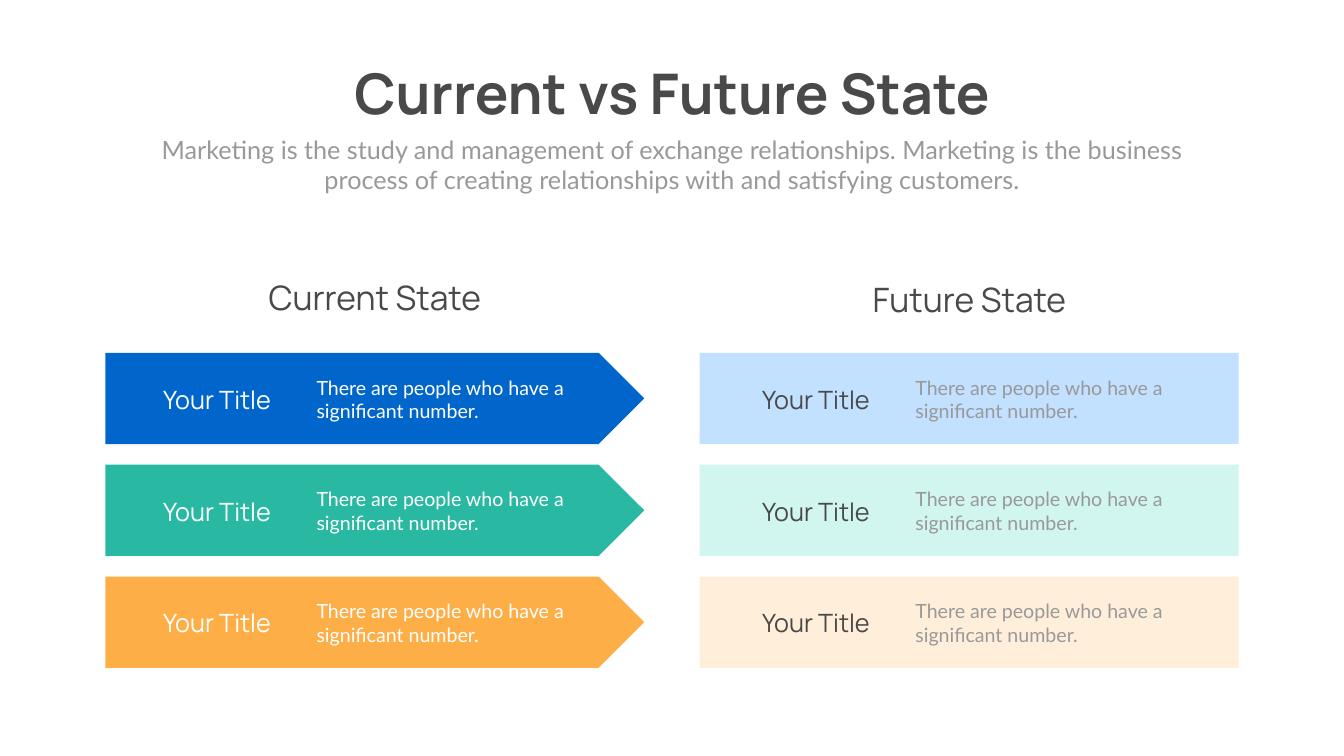
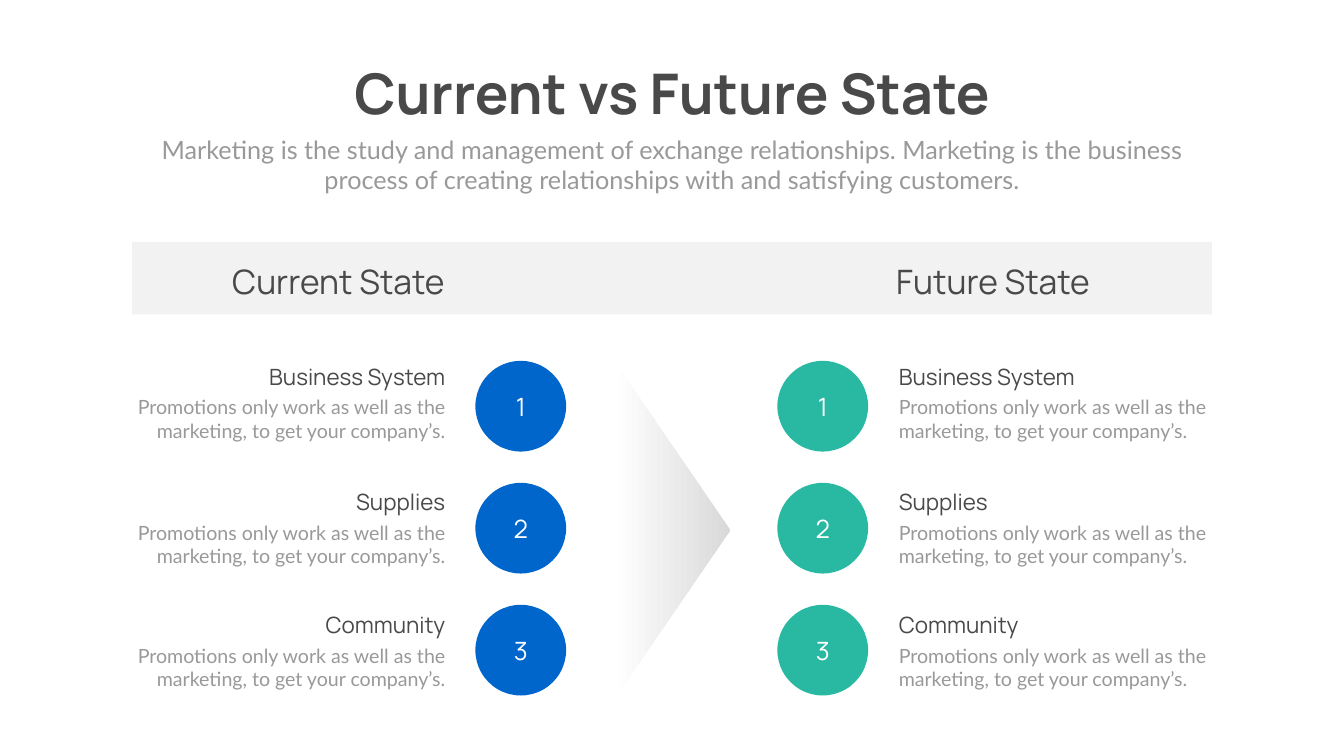
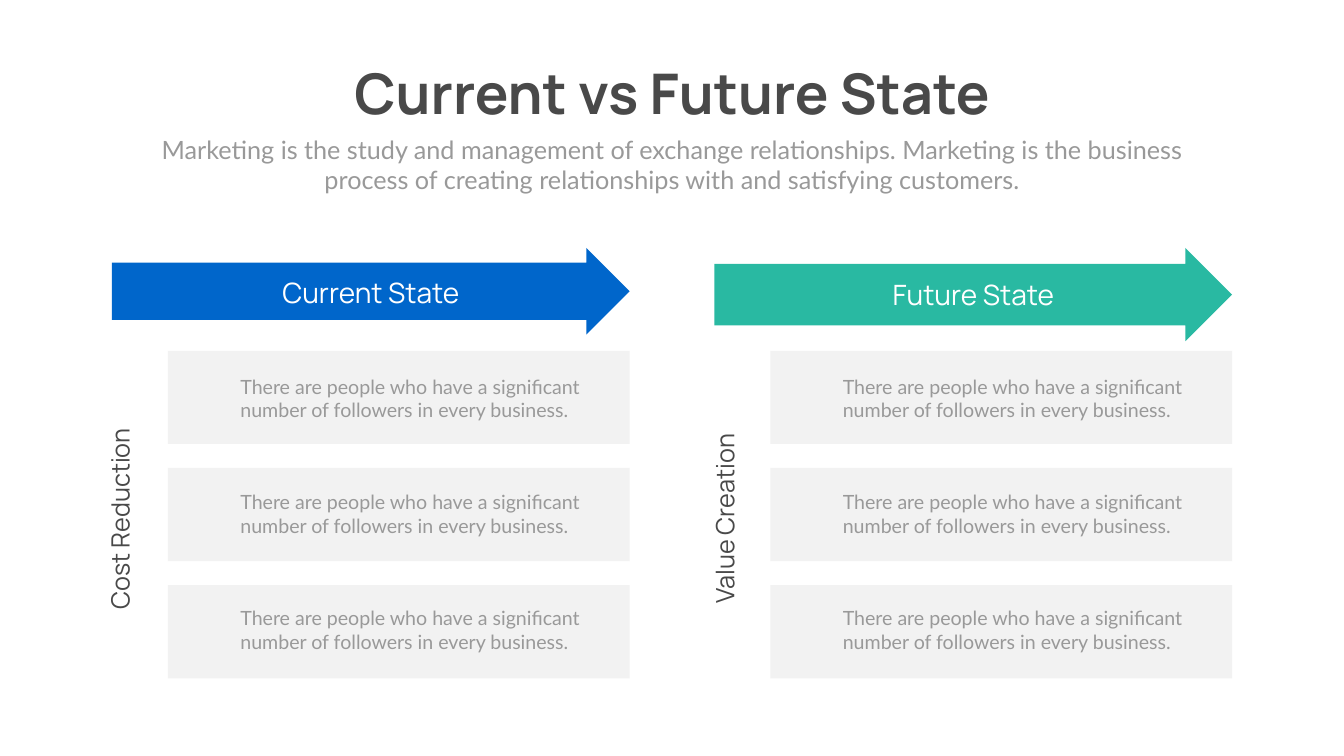
"""Build three slides that compare a current state with a future state."""
from pptx import Presentation
from pptx.dml.color import RGBColor
from pptx.enum import shapes, text
from pptx.util import Inches, Pt

BLUE, GREEN, ORANGE = "0066CB", "29B9A2", "FEAE46"
DARK, GREY, PALE, WHITE = "494949", "999999", "F2F2F2", "FFFFFF"
HEAD, BODY = "Manrope", "Lato"
LEFT, CENTER, RIGHT = text.PP_ALIGN.LEFT, text.PP_ALIGN.CENTER, text.PP_ALIGN.RIGHT
MSO = shapes.MSO_SHAPE


def block(s, kind, at, color):
    """Add a borderless preset shape."""
    sp = s.shapes.add_shape(kind, *map(Inches, at))
    sp.shadow.inherit = False
    sp.fill.solid()
    sp.fill.fore_color.rgb = RGBColor.from_string(color)
    sp.line.fill.background()
    return sp


def write(sp, at, words, size, color, font=HEAD, align=LEFT, wrap=True):
    """Place a text holder and fill it with one formatted paragraph."""
    sp.left, sp.top, sp.width, sp.height = map(Inches, at)
    tf = sp.text_frame
    tf.text = words
    tf.word_wrap = wrap
    tf.auto_size = text.MSO_AUTO_SIZE.SHAPE_TO_FIT_TEXT
    tf.vertical_anchor = text.MSO_ANCHOR.TOP
    p = tf.paragraphs[0]
    p.alignment = align
    p.space_before = Pt(0)
    f = p.runs[0].font
    f.name, f.size = font, Pt(size)
    f.color.rgb = RGBColor.from_string(color)
    return sp


prs = Presentation()
prs.slide_width, prs.slide_height = Inches(26.66), Inches(15)

slides = []
for _ in range(3):
    s = prs.slides.add_slide(prs.slide_layouts[0])
    title, subtitle = s.placeholders
    write(title, (6.57, 1.12, 13.53, 1.45), "Current vs Future State", 80, DARK, align=CENTER, wrap=False)
    title.text_frame.paragraphs[0].runs[0].font.bold = True
    write(subtitle, (2.92, 2.61, 20.82, 1.31),
          "Marketing is the study and management of exchange relationships. Marketing is the "
          "business process of creating relationships with and satisfying customers.",
          36, GREY, BODY, CENTER)
    slides.append(s)

s = slides[0]
columns = [
    (2.09, 3.14, MSO.PENTAGON, (BLUE, GREEN, ORANGE), WHITE, WHITE),
    (13.88, 15.02, MSO.RECTANGLE, ("C2E0FF", "D1F5EF", "FFEFDA"), DARK, GREY),
]
for x, text_x, kind, fills, title_color, body_color in columns:
    for i, fill in enumerate(fills):
        y = 7 + 2.22 * i
        block(s, kind, (x, y, 10.69, 1.81), fill)
        write(s.shapes.add_textbox(0, 0, 0, 0), (text_x, y + 0.57, 3.04, 0.71), "Your Title", 36, title_color)
        write(s.shapes.add_textbox(0, 0, 0, 0), (text_x + 3.04, y + 0.4, 5.35, 1.04),
              "There are people who have a significant number.", 28, body_color, BODY)
for at, state in [((4.63, 5.44, 5.61, 0.91), "Current State"), ((16.6, 5.48, 5.26, 0.91), "Future State")]:
    write(s.shapes.add_textbox(0, 0, 0, 0), at, state, 48, DARK, align=CENTER)

s = slides[1]
block(s, MSO.RECTANGLE, (2.62, 4.8, 21.42, 1.44), PALE)
columns = [
    ("Current State", (4.19, 5.13, 4.73, 0.91), 9.43, BLUE, 3.94, 2.32, RIGHT),
    ("Future State", (17.68, 5.13, 4.3, 0.91), 15.42, GREEN, 17.73, 17.73, LEFT),
]
topics = [("Business System", 7.15), ("Supplies", 9.64), ("Community", 12.08)]
for state, at, circle_x, color, topic_x, body_x, align in columns:
    write(s.shapes.add_textbox(0, 0, 0, 0), at, state, 48, DARK, align=align, wrap=False)
    for i, (topic, y) in enumerate(topics):
        at = (circle_x, 7.16 + 2.42 * i, 1.8, 1.8)
        sp = write(block(s, MSO.OVAL, at, color), at, str(i + 1), 36, WHITE, align=CENTER, wrap=False)
        sp.text_frame.auto_size = text.MSO_AUTO_SIZE.NONE
        sp.text_frame.vertical_anchor = text.MSO_ANCHOR.MIDDLE
        write(s.shapes.add_textbox(0, 0, 0, 0), (topic_x, y, 4.99, 0.64), topic, 32, DARK, align=align)
        write(s.shapes.add_textbox(0, 0, 0, 0), (body_x, y + 0.64, 6.61, 1.04),
              "Promotions only work as well as the marketing, to get your company’s.", 28, GREY, BODY, align)
sp = block(s, MSO.ISOSCELES_TRIANGLE, (9.97, 9.37, 6.72, 2.3), WHITE)
sp.rotation = 90
sp.fill.gradient()
sp.fill.gradient_angle = 90
for stop, color in zip(sp.fill.gradient_stops, (WHITE, "D9D9D9")):
    stop.color.rgb = RGBColor.from_string(color)

s = slides[2]
columns = [
    (2.22, 1.72, BLUE, "Current State", 5.42, "Cost Reduction", -0.3),
    (14.17, 1.85, GREEN, "Future State", 5.46, "Value Creation", 11.7),
]
for x, arrow_h, color, state, state_y, label, label_x in columns:
    for i in range(3):
        block(s, MSO.RECTANGLE, (x + 1.11, 6.96 + 2.325 * i, 9.16, 1.85), PALE)
        write(s.shapes.add_textbox(0, 0, 0, 0), (x + 2.45, 7.38 + 2.3 * i, 7.46, 1.04),
              "There are people who have a significant number of followers in every business.", 28, GREY, BODY)
    sp = block(s, MSO.RIGHT_ARROW, (x, 4.92, 10.27, arrow_h), color)
    sp.adjustments[0] = 0.66
    write(s.shapes.add_textbox(0, 0, 0, 0), (x + 3.15, state_y, 3.97, 0.77), state, 40, WHITE, align=CENTER)
    sp = write(s.shapes.add_textbox(0, 0, 0, 0), (label_x, 9.94, 5.35, 0.71), label, 36, DARK, align=CENTER)
    sp.rotation = 270

prs.save("out.pptx")
